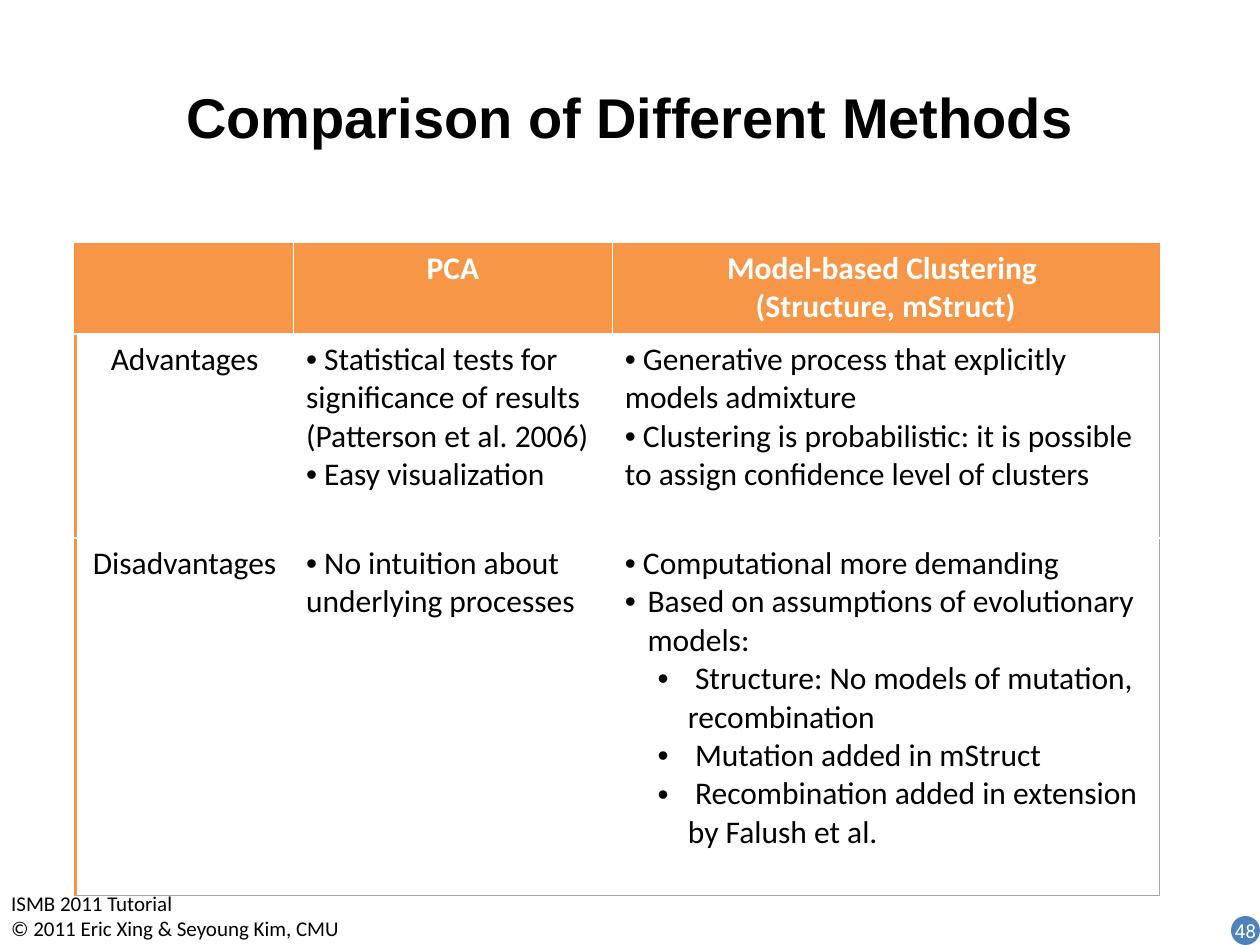
"""Build a slide that compares PCA with model-based clustering in a table."""
from lxml.etree import SubElement
from pptx import Presentation
from pptx.dml.color import RGBColor as Rgb
from pptx.enum.shapes import MSO_SHAPE as Shape
from pptx.enum.text import MSO_ANCHOR as Anchor, PP_ALIGN as Align
from pptx.oxml.ns import qn
from pptx.util import Inches, Pt

COLORS = {"text": "000000", "white": "FFFFFF", "header": "F79646",
          "edge": "F69240", "rule": "A6A6A6", "badge": "4F81BD"}

deck = Presentation()
deck.slide_width, deck.slide_height = Inches(10), Inches(7.5)
page = deck.slides.add_slide(deck.slide_layouts[6])


def area(left, top, width, height):
    """Turn percentages of the slide into lengths."""
    sizes = (deck.slide_width, deck.slide_height) * 2
    return [int(size * share / 100) for size, share in zip(sizes, (left, top, width, height))]


def write(frame, lines, size, font="Calibri", color="text", bold=False, align=Align.LEFT):
    """Fill a text frame, one paragraph a line."""
    frame.text = "\n".join(lines)
    for para in frame.paragraphs:
        para.alignment = align
        for span in para.runs:
            span.font.size, span.font.name, span.font.bold = Pt(size), font, bold
            span.font.color.rgb = Rgb.from_string(COLORS[color])


footer = page.shapes.add_textbox(*area(-0.1, 93.6, 28.4, 6.67)).text_frame
footer.word_wrap = False
write(footer, ["ISMB 2011 Tutorial", "© 2011 Eric Xing & Seyoung Kim, CMU"], 12)

badge = page.shapes.add_shape(Shape.OVAL, *area(97.7, 96.93, 2.3, 3.07))
badge.shadow.inherit = False
badge.fill.solid()
badge.fill.fore_color.rgb = Rgb.from_string(COLORS["badge"])
badge.line.fill.background()
number = badge.text_frame
number.margin_left = number.margin_right = number.margin_top = number.margin_bottom = 0
number.word_wrap = False
number.vertical_anchor = Anchor.MIDDLE
write(number, ["48"], 11, "Roboto", "white", align=Align.CENTER)

title = page.shapes.add_textbox(*area(5, 4, 90, 16.67)).text_frame
title.word_wrap = True
title.vertical_anchor = Anchor.MIDDLE
write(title, ["Comparison of Different Methods"], 32, "Arial", bold=True, align=Align.CENTER)

PLAIN, HANGING, NESTED = (0, 0), (0.18, -0.18), (0.5, -0.24)
rows = [
    [[], [(None, "PCA")],
     [(None, "Model-based Clustering "), (None, "(Structure, mStruct)")]],
    [[(None, "Advantages")],
     [(PLAIN, " Statistical tests for significance of results (Patterson et al. 2006)"),
      (PLAIN, " Easy visualization")],
     [(PLAIN, " Generative process that explicitly models admixture"),
      (PLAIN, " Clustering is probabilistic: it is possible to assign confidence level of clusters")]],
    [[(None, "Disadvantages")],
     [(PLAIN, " No intuition about underlying processes")],
     [(PLAIN, " Computational more demanding"),
      (HANGING, "Based on assumptions of evolutionary models:"),
      (NESTED, " Structure: No models of mutation, recombination"),
      (NESTED, " Mutation added in mStruct"),
      (NESTED, " Recombination added in extension by Falush et al.")]],
]
column_shares, row_shares = (17.3, 25.3, 43.4), (9.6, 21.6, 37.87)
table = page.shapes.add_table(
    3, 3, *area(6, 25.73, sum(column_shares), sum(row_shares))).table
for column, share in zip(table.columns, column_shares):
    column.width = int(deck.slide_width * share / 100)
for row, share in zip(table.rows, row_shares):
    row.height = int(deck.slide_height * share / 100)

for row_index, row in enumerate(rows):
    header = row_index == 0
    for column_index, entries in enumerate(row):
        cell = table.cell(row_index, column_index)
        centered = header or column_index == 0
        write(cell.text_frame, [text for _, text in entries], 18,
              color="white" if header else "text", bold=header,
              align=Align.CENTER if centered else Align.LEFT)
        for para, (indents, _) in zip(cell.text_frame.paragraphs, entries):
            if indents:
                props = para._p.get_or_add_pPr()
                props.set("marL", str(Inches(indents[0])))
                props.set("indent", str(Inches(indents[1])))
                props.set("lvl", "1" if indents == NESTED else "0")
                SubElement(props, qn("a:buFont"), typeface="Arial")
                SubElement(props, qn("a:buChar"), char="•")

        borders = {}
        if column_index == 0:
            borders["lnL"] = ("edge", 1.5)
        if column_index == 2:
            borders["lnR"] = ("edge" if header else "rule", 0.75)
        if header:
            borders["lnT"] = ("edge", 0.75)
        borders["lnB"] = ("edge" if header else "rule", 0.75)
        cell_props = cell._tc.get_or_add_tcPr()
        for side, (color, width) in borders.items():
            line = SubElement(cell_props, qn("a:" + side), w=str(Pt(width)))
            fill = SubElement(line, qn("a:solidFill"))
            SubElement(fill, qn("a:srgbClr"), val=COLORS[color])
        cell.fill.solid()
        cell.fill.fore_color.rgb = Rgb.from_string(COLORS["header" if header else "white"])

deck.save("out.pptx")
